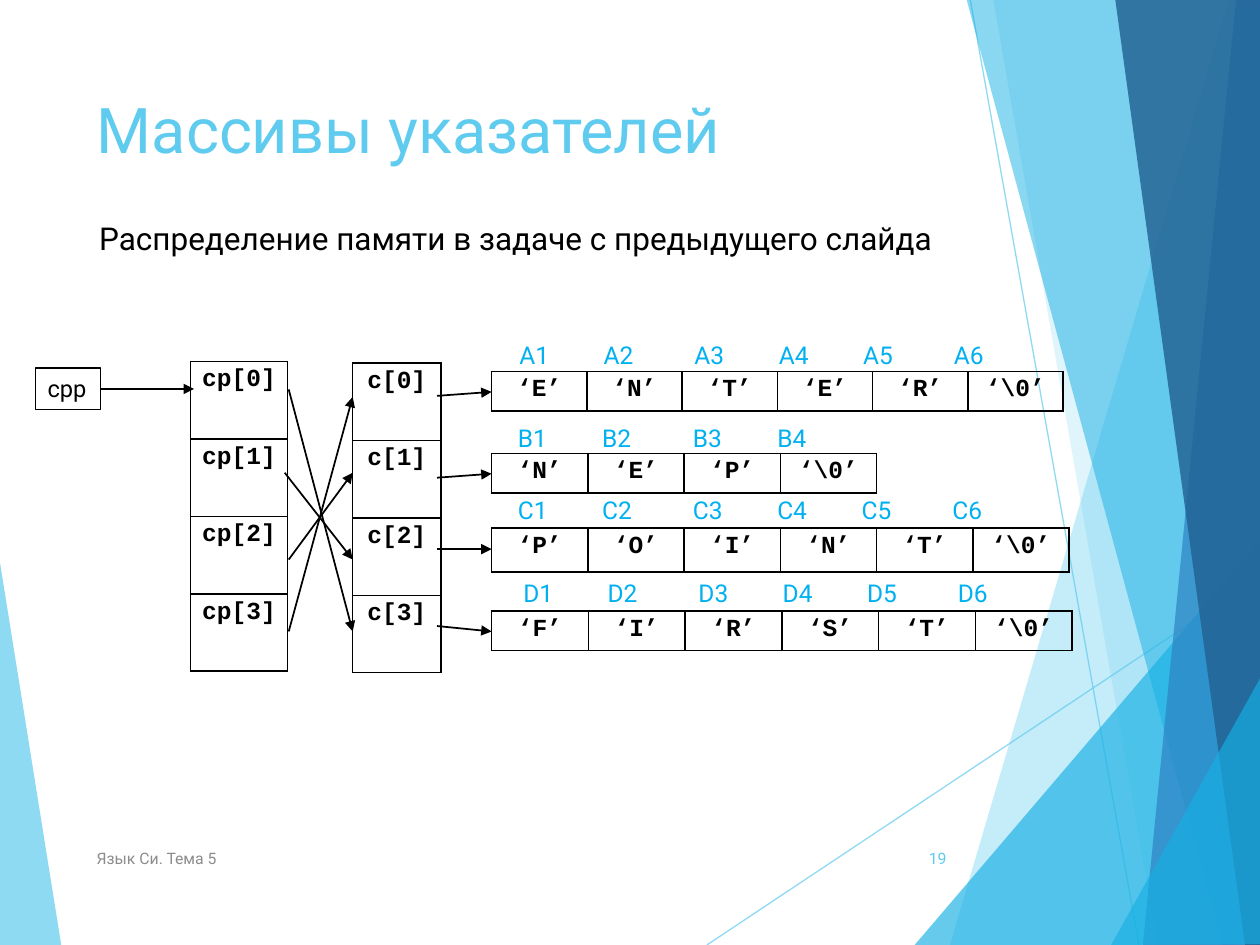
from typing import NamedTuple

from pptx import Presentation
from pptx import util as u
from pptx.dml.color import RGBColor
from pptx.enum import shapes, text
from pptx.oxml import ns, xmlchemy

SANS, MONO = "Roboto", "Courier New"
SKY, CYAN, BLACK = "5FCBEF", "17B0E4", "000000"
LABEL_TABS = (1.7, 3.53, 5.23, 6.93, 8.76)


class Facet(NamedTuple):
    color: str
    opacity: int
    points: list


class Line(NamedTuple):
    x1: float
    y1: float
    x2: float
    y2: float


class Grid(NamedTuple):
    x: float
    y: float
    col_w: float
    row_h: float
    rows: list


class Labels(NamedTuple):
    x: float
    y: float
    w: float
    letter: str
    count: int


FACETS = [
    Facet(SKY, 70, [(-0.03, 11.15), (1.24, 19.08), (-0.03, 19.05)]),
    Facet(SKY, 36, [(24.77, 0), (19.15, 19.05), (25.45, 19.08), (25.43, 0.03)]),
    Facet(SKY, 20, [(20.02, -0.03), (23.34, 19.05), (25.43, 19.05), (25.43, -0.03)]),
    Facet(CYAN, 66, [(18.44, 19.05), (25.4, 10.9), (25.43, 19.05)]),
    Facet(CYAN, 50, [(19.48, -0.03), (24.64, 19.05), (25.43, 19.02), (25.43, -0.03)]),
    Facet("2E83C3", 70, [(24.92, -0.03), (23.04, 19.05), (25.43, 19.05), (25.4, -0.03)]),
    Facet("226292", 82, [(22.48, -0.03), (25.1, 19.05), (25.45, 19.05), (25.4, -0.03)]),
    Facet(CYAN, 66, [(22.4, 19.05), (25.45, 13.59), (25.45, 19.03)]),
]
FACET_LINES = [Line(14.25, 19.05, 25.43, 11.61), Line(19.56, 0, 22.96, 19.05)]


def quoted(chars: str) -> list:
    return [[f"‘{c}’" for c in [*chars, "\\0"]]]


def indexed(name: str) -> list:
    return [[f"{name}[{i}]"] for i in range(4)]


GRIDS = [
    Grid(9.91, 7.49, 1.92, 0.79, quoted("ENTER")),
    Grid(9.91, 9.14, 1.94, 0.77, quoted("NEP")),
    Grid(9.91, 10.64, 1.94, 0.89, quoted("POINT")),
    Grid(9.91, 12.32, 1.95, 0.79, quoted("FIRST")),
    Grid(7.11, 7.32, 1.78, 1.56, indexed("c")),
    Grid(3.84, 7.29, 1.96, 1.56, indexed("cp")),
]
POINTERS = [
    Line(8.81, 7.98, 9.91, 7.9),
    Line(8.81, 9.63, 9.91, 9.55),
    Line(8.81, 11.07, 9.91, 11.07),
    Line(8.81, 12.62, 9.91, 12.73),
    Line(5.82, 7.85, 7.11, 12.73),
    Line(5.74, 9.53, 7.11, 11.28),
    Line(5.82, 11.28, 7.11, 9.53),
    Line(5.82, 12.73, 7.11, 8),
]
LABELS = [
    Labels(10.11, 6.73, 11.2, "A", 6),
    Labels(10.08, 8.41, 7.42, "B", 4),
    Labels(10.08, 9.86, 11.2, "C", 6),
    Labels(10.19, 11.53, 11.2, "D", 6),
]


def rgb(color: str) -> RGBColor:
    return RGBColor.from_string(color)


def add_xml(parent, tag: str, **attrs):
    el = xmlchemy.OxmlElement(tag)
    for name, value in attrs.items():
        el.set(name, value)
    parent.append(el)
    return el


def set_opacity(sp, percent: int) -> None:
    for clr in sp._element.spPr.iter(ns.qn("a:srgbClr")):
        add_xml(clr, "a:alpha", val=str(percent * 1000))


def write(tf, content: str, size: float, color: str, font: str = SANS,
          align=text.PP_ALIGN.LEFT, bold: bool = False):
    p = tf.paragraphs[0]
    p.alignment = align
    r = p.add_run()
    r.text = content
    r.font.name, r.font.size, r.font.bold = font, u.Pt(size), bold
    r.font.color.rgb = rgb(color)
    return p


def add_text(s, x: float, y: float, w: float, h: float, content: str, size: float,
             color: str, align=text.PP_ALIGN.LEFT, anchor=text.MSO_ANCHOR.TOP):
    sp = s.shapes.add_textbox(u.Cm(x), u.Cm(y), u.Cm(w), u.Cm(h))
    sp.text_frame.word_wrap = True
    sp.text_frame.vertical_anchor = anchor
    return sp, write(sp.text_frame, content, size, color, align=align)


def add_facet(s, facet: Facet) -> None:
    points = [(u.Cm(x), u.Cm(y)) for x, y in facet.points]
    builder = s.shapes.build_freeform(*points[0])
    builder.add_line_segments(points[1:])
    sp = builder.convert_to_shape()
    sp.shadow.inherit = False
    sp.fill.solid()
    sp.fill.fore_color.rgb = rgb(facet.color)
    sp.line.fill.background()
    set_opacity(sp, facet.opacity)


def add_line(s, line: Line, color: str, width: float, arrow: bool = False):
    c = s.shapes.add_connector(shapes.MSO_CONNECTOR.STRAIGHT, *(u.Cm(v) for v in line))
    c.line.color.rgb = rgb(color)
    c.line.width = u.Pt(width)
    if arrow:
        add_xml(c._element.spPr.find(ns.qn("a:ln")), "a:tailEnd", type="triangle")
    add_xml(c._element.spPr, "a:effectLst")
    return c


def format_cell(cell, content: str) -> None:
    cell.margin_left = cell.margin_right = u.Cm(0.18)
    cell.margin_top = cell.margin_bottom = u.Cm(0.1)
    write(cell.text_frame, content, 14, BLACK, MONO, text.PP_ALIGN.CENTER, True)
    tc_pr = cell._tc.get_or_add_tcPr()
    for side in ("a:lnL", "a:lnR", "a:lnT", "a:lnB"):
        ln = add_xml(tc_pr, side, w=str(u.Pt(1)))
        add_xml(add_xml(ln, "a:solidFill"), "a:srgbClr", val=BLACK)
    cell.fill.background()


def add_grid(s, grid: Grid) -> None:
    n_rows, n_cols = len(grid.rows), len(grid.rows[0])
    table = s.shapes.add_table(n_rows, n_cols, u.Cm(grid.x), u.Cm(grid.y),
                               u.Cm(grid.col_w * n_cols), u.Cm(grid.row_h * n_rows)).table
    table.first_row = table.horz_banding = False
    for i, row in enumerate(grid.rows):
        for j, content in enumerate(row):
            format_cell(table.cell(i, j), content)


def add_labels(s, labels: Labels) -> None:
    content = "\t".join(f"{labels.letter}{i + 1}" for i in range(labels.count))
    sp, p = add_text(s, labels.x, labels.y, labels.w, 0.86, content, 14, "00B0F0")
    sp.text_frame.margin_left = u.Cm(0.36)
    tabs = add_xml(p._p.get_or_add_pPr(), "a:tabLst")
    for pos in LABEL_TABS[:labels.count - 1]:
        add_xml(tabs, "a:tab", pos=str(u.Cm(pos)), algn="l")


def main() -> None:
    prs = Presentation()
    prs.slide_width, prs.slide_height = u.Cm(25.4), u.Cm(19.05)
    s = prs.slides.add_slide(prs.slide_layouts[5])

    for line in FACET_LINES:
        set_opacity(add_line(s, line, SKY, 0.75), 70)
    for facet in FACETS:
        add_facet(s, facet)

    title = s.shapes.title
    title.left, title.top, title.width, title.height = map(u.Cm, (1.7, 1.7, 17.63, 3.66))
    title.text_frame.vertical_anchor = text.MSO_ANCHOR.TOP
    write(title.text_frame, "Массивы указателей", 36, SKY)
    add_text(s, 1.75, 4.29, 17.6, 1.02,
             "Распределение памяти в задаче с предыдущего слайда", 18, BLACK)

    for grid in GRIDS:
        add_grid(s, grid)
    for pointer in POINTERS:
        add_line(s, pointer, BLACK, 1, arrow=True)
    for labels in LABELS:
        add_labels(s, labels)

    cpp, _ = add_text(s, 0.71, 7.42, 1.32, 0.84, "cpp", 13.5, BLACK)
    cpp.line.color.rgb = rgb(BLACK)
    cpp.line.width = u.Pt(0.75)
    add_line(s, Line(2.03, 7.84, 3.91, 7.84), BLACK, 1, arrow=True).begin_connect(cpp, 3)

    middle = text.MSO_ANCHOR.MIDDLE
    add_text(s, 1.7, 16.79, 12.85, 1.02, "Язык Си. Тема 5", 9, "8C8C8C", anchor=middle)
    add_text(s, 17.91, 16.79, 1.42, 1.02, "19", 9, SKY, text.PP_ALIGN.RIGHT, middle)
    prs.save("out.pptx")


if __name__ == "__main__":
    main()
